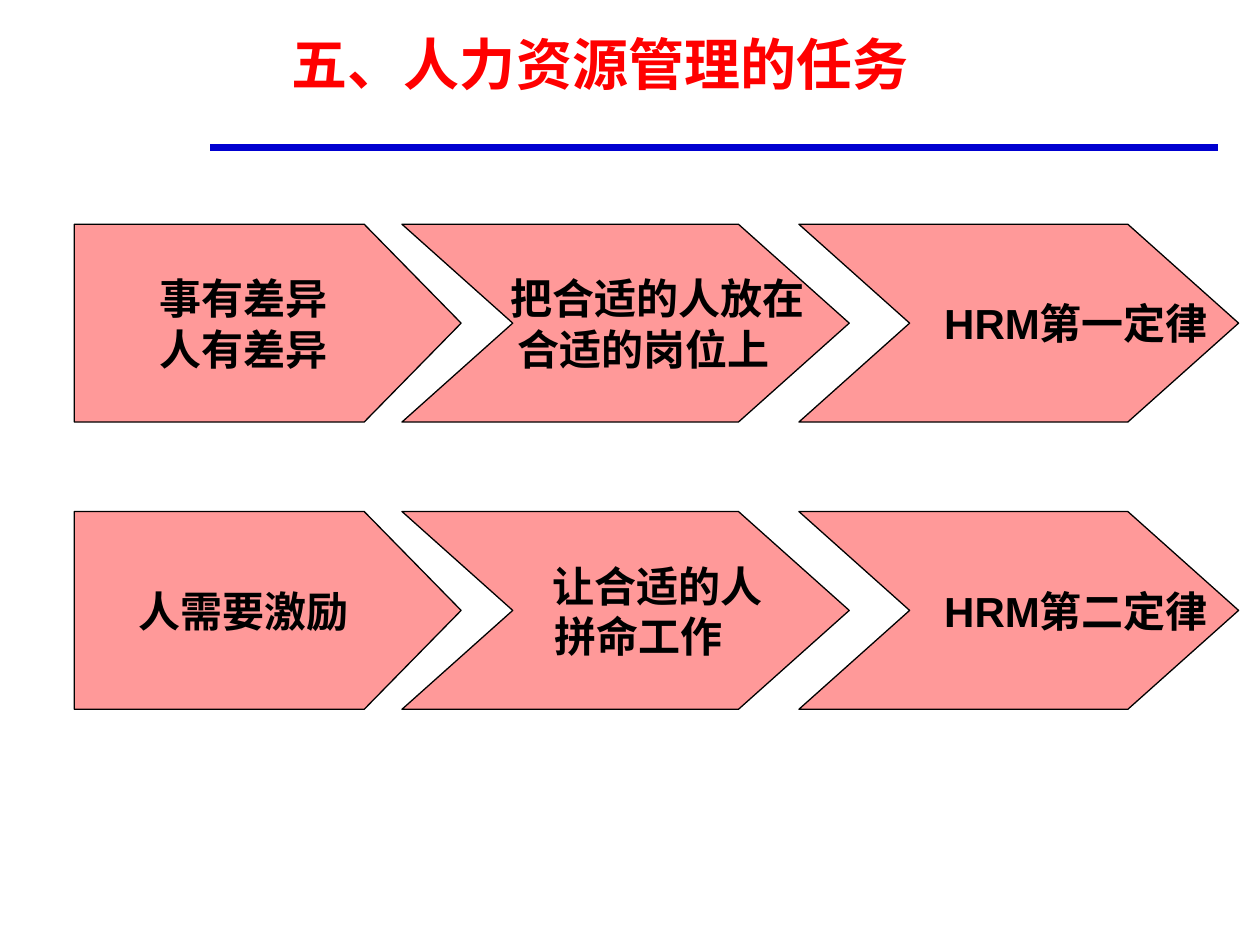
from dataclasses import dataclass
from typing import Any

from lxml.etree import SubElement as Sub
from pptx import Presentation as Deck
from pptx.dml.color import RGBColor as Rgb
from pptx.enum.shapes import MSO_CONNECTOR as Conn, MSO_SHAPE as Form
from pptx.enum.text import MSO_ANCHOR as Anchor, PP_ALIGN as Align
from pptx.oxml.ns import qn
from pptx.util import Inches, Pt


@dataclass(frozen=True)
class Theme:
    font: str = "Arial"
    red: Rgb = Rgb(0xFF, 0, 0)
    blue: Rgb = Rgb(0, 0, 0xD0)
    pink: Rgb = Rgb(0xFF, 0x99, 0x99)
    ink: Rgb = Rgb(0, 0, 0)
    head: int = 32
    body: int = 24
    rule: float = 4
    edge: float = 0.75


def write(frame, text, *, font, size, color, pads=()):
    frame.word_wrap = False
    frame.vertical_anchor = Anchor.MIDDLE
    for i, line in enumerate(text.split("\n")):
        para = frame.paragraphs[0] if i == 0 else frame.add_paragraph()
        para.alignment = Align.CENTER
        if pads:
            props = para._p.get_or_add_pPr()
            props.set("marL", str(Inches(pads[i])))
            props.set("indent", "0")
        run = para.add_run()
        run.text = line
        run.font.name = font
        run.font.size = Pt(size)
        run.font.bold = True
        run.font.color.rgb = color


@dataclass
class Page:
    theme: Theme
    slide: Any

    def title(self, text, left, top, width, height):
        t = self.theme
        box = self.slide.shapes.add_textbox(
            Inches(left), Inches(top), Inches(width), Inches(height))
        write(box.text_frame, text, font=t.font, size=t.head, color=t.red)

    def rule(self, left, right, y):
        line = self.slide.shapes.add_connector(
            Conn.STRAIGHT, Inches(left), Inches(y), Inches(right), Inches(y))
        line.line.color.rgb = self.theme.blue
        line.line.width = Pt(self.theme.rule)
        Sub(line._element.spPr, qn("a:effectLst"))

    def arrow(self, form, text, left, top, width, height, point, pads=()):
        t = self.theme
        shape = self.slide.shapes.add_shape(
            form, Inches(left), Inches(top), Inches(width), Inches(height))
        shape.adjustments[0] = point
        shape.shadow.inherit = False
        shape.fill.solid()
        shape.fill.fore_color.rgb = t.pink
        shape.line.color.rgb = t.ink
        shape.line.width = Pt(t.edge)
        write(shape.text_frame, text, font=t.font, size=t.body,
              color=t.ink, pads=pads)


def main():
    deck = Deck()
    deck.slide_width, deck.slide_height = Inches(10), Inches(7.5)
    page = Page(Theme(), deck.slides.add_slide(deck.slide_layouts[6]))
    page.rule(1.67, 9.67, 1.17)

    steps = [
        (Form.PENTAGON, 0.59, 3.07, 0.49),
        (Form.CHEVRON, 3.19, 3.55, 0.56),
        (Form.CHEVRON, 6.34, 3.49, 0.56),
    ]
    rows = [
        (1.78, [("事有差异\n人有差异", ()),
                ("把合适的人放在\n合适的岗位上", (0.51, 0.29)),
                ("HRM第一定律", (0.91,))]),
        (4.06, [("人需要激励", ()),
                ("让合适的人\n拼命工作", (0.51, 0.21)),
                ("HRM第二定律", (0.91,))]),
    ]
    for top, cells in rows:
        for (form, left, width, point), (text, pads) in zip(steps, cells):
            page.arrow(form, text, left, top, width, 1.57, point, pads)

    page.title("五、人力资源管理的任务", 1.93, 0, 5.67, 1)
    deck.save("out.pptx")


if __name__ == "__main__":
    main()
